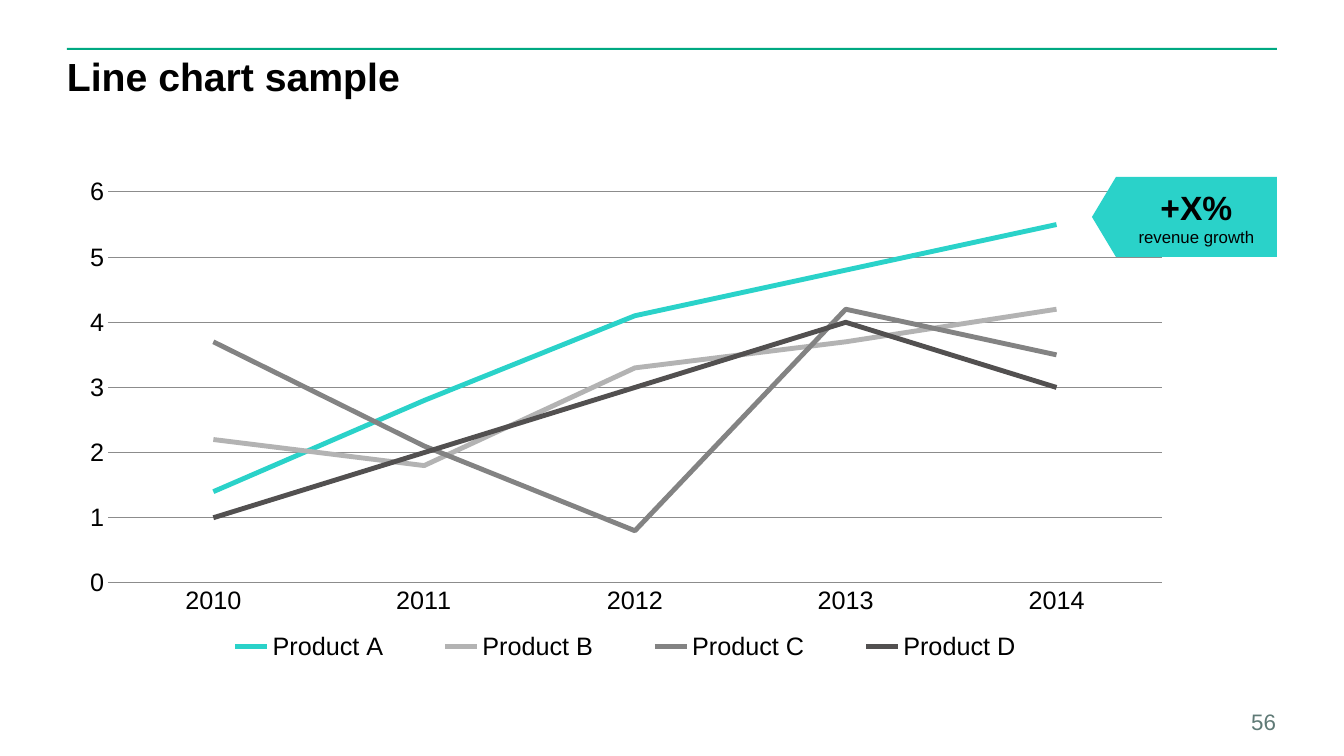
from lxml.etree import SubElement
from pptx import Presentation
from pptx.chart.data import CategoryChartData
from pptx.dml.color import RGBColor
from pptx.enum.chart import XL_CHART_TYPE as ChartType, XL_LEGEND_POSITION as LegendPosition
from pptx.enum.chart import XL_TICK_MARK as TickMark
from pptx.enum.shapes import MSO_SHAPE as Shape
from pptx.enum.text import MSO_ANCHOR as Anchor, MSO_AUTO_SIZE as AutoSize, PP_ALIGN as Align
from pptx.oxml.ns import qn
from pptx.util import Emu, Pt

PX = 914400 / 100.8
FONT = "Arial"
BLACK = RGBColor(0x00, 0x00, 0x00)
GREEN = RGBColor(0x00, 0xA9, 0x82)
TURQUOISE = RGBColor(0x2A, 0xD2, 0xC9)
SLATE = RGBColor(0x5F, 0x7A, 0x76)
LIGHT_GRAY = RGBColor(0xB3, 0xB3, 0xB3)
MID_GRAY = RGBColor(0x83, 0x83, 0x83)
DARK_GRAY = RGBColor(0x52, 0x50, 0x50)
GRID_GRAY = RGBColor(0x8C, 0x8C, 0x8C)

YEARS = ["2010", "2011", "2012", "2013", "2014"]
PRODUCTS = [
    ("Product A", (1.4, 2.8, 4.1, 4.8, 5.5), TURQUOISE),
    ("Product B", (2.2, 1.8, 3.3, 3.7, 4.2), LIGHT_GRAY),
    ("Product C", (3.7, 2.1, 0.8, 4.2, 3.5), MID_GRAY),
    ("Product D", (1, 2, 3, 4, 3), DARK_GRAY),
]


def px(*lengths):
    return [Emu(round(length * PX)) for length in lengths]


def set_values(target, values):
    for name, value in values.items():
        setattr(target, name, value)


def set_font(font, size, color=BLACK, bold=False):
    set_values(font, {"name": FONT, "size": Pt(size), "bold": bold})
    font.color.rgb = color


def set_frame(frame, side=0, edge=0, anchor=Anchor.TOP, wrap=True):
    side, edge = px(side, edge)
    set_values(frame, {
        "margin_left": side, "margin_right": side,
        "margin_top": edge, "margin_bottom": edge,
        "vertical_anchor": anchor, "word_wrap": wrap, "auto_size": AutoSize.NONE,
    })


def write_line(paragraph, text, size, color=BLACK, bold=False, align=Align.LEFT):
    paragraph.alignment = align
    run = paragraph.add_run()
    run.text = text
    set_font(run.font, size, color, bold)


def add_filled_shape(slide, kind, box, color):
    shape = slide.shapes.add_shape(kind, *px(*box))
    shape.shadow.inherit = False
    shape.fill.solid()
    shape.fill.fore_color.rgb = color
    shape.line.fill.background()
    return shape


def add_header(slide, left, top, width, height):
    add_filled_shape(slide, Shape.RECTANGLE, (left, top, width, 2), GREEN)
    title = slide.shapes.title
    position = px(left, top + 10, width, height - 10)
    set_values(title, dict(zip(("left", "top", "width", "height"), position)))
    set_frame(title.text_frame)
    paragraph = title.text_frame.paragraphs[0]
    paragraph.line_spacing = 0.9
    write_line(paragraph, "Line chart sample", 28, bold=True)


def set_layout(parent, index, box, chart_size, inner=False):
    for layout in parent.findall(qn("c:layout")):
        parent.remove(layout)
    layout = SubElement(parent, qn("c:layout"))
    parent.insert(index, layout)
    manual = SubElement(layout, qn("c:manualLayout"))
    settings = {"layoutTarget": "inner"} if inner else {}
    settings.update(xMode="edge", yMode="edge")
    for name, length, whole in zip("xywh", box, chart_size * 2):
        settings[name] = length / whole
    for name, value in settings.items():
        SubElement(manual, qn(f"c:{name}")).set("val", str(value))


def add_line_chart(slide, left, top, width, height):
    data = CategoryChartData(number_format="General")
    data.categories = YEARS
    for name, values, color in PRODUCTS:
        data.add_series(name, values)
    chart = slide.shapes.add_chart(
        ChartType.LINE, *px(left, top, width, height), data).chart
    set_font(chart.font, 18)
    set_values(chart, {"has_title": False, "has_legend": True})
    set_values(chart.legend, {"position": LegendPosition.BOTTOM, "include_in_layout": False})
    chart.plots[0].vary_by_categories = False
    chart_element = chart._chartSpace.chart
    size = (width, height)
    set_layout(chart_element.plotArea, 0, (41, 24, 1054, 391), size, inner=True)
    set_layout(chart_element.find(qn("c:legend")), 1, (115, 459, 887, 40), size)

    for axis in (chart.category_axis, chart.value_axis):
        set_values(axis, {"major_tick_mark": TickMark.NONE, "minor_tick_mark": TickMark.NONE})
        axis.format.line.fill.background()
    set_values(chart.value_axis, {"minimum_scale": 0, "maximum_scale": 6, "major_unit": 1,
                                  "has_major_gridlines": True})
    grid = chart.value_axis.major_gridlines.format.line
    grid.color.rgb = GRID_GRAY
    grid.width = Pt(0.75)

    for series, (name, values, color) in zip(chart.plots[0].series, PRODUCTS):
        series.smooth = False
        series.format.line.color.rgb = color
        series.format.line.width = Pt(3.5)


def add_growth_callout(slide, *box):
    callout = add_filled_shape(slide, Shape.LEFT_ARROW, box, TURQUOISE)
    callout.adjustments[0] = 1
    callout.adjustments[1] = 0.3
    frame = callout.text_frame
    set_frame(frame, side=20, edge=5, anchor=Anchor.MIDDLE)
    write_line(frame.paragraphs[0], "+X%", 24, bold=True, align=Align.CENTER)
    write_line(frame.add_paragraph(), "revenue growth", 12, align=Align.CENTER)


def add_page_number(slide, *box):
    number = slide.shapes.add_textbox(*px(*box))
    set_frame(number.text_frame, anchor=Anchor.BOTTOM, wrap=False)
    write_line(number.text_frame.paragraphs[0], "56", 16, SLATE, align=Align.RIGHT)


def main():
    presentation = Presentation()
    presentation.slide_width, presentation.slide_height = px(1344, 756)
    slide = presentation.slides.add_slide(presentation.slide_layouts[5])
    add_header(slide, 67, 48, 1210, 103)
    add_line_chart(slide, 67, 168, 1117, 504)
    add_growth_callout(slide, 1092, 177, 185, 80)
    add_page_number(slide, 1218, 710, 58, 25)
    presentation.save("out.pptx")


if __name__ == "__main__":
    main()
